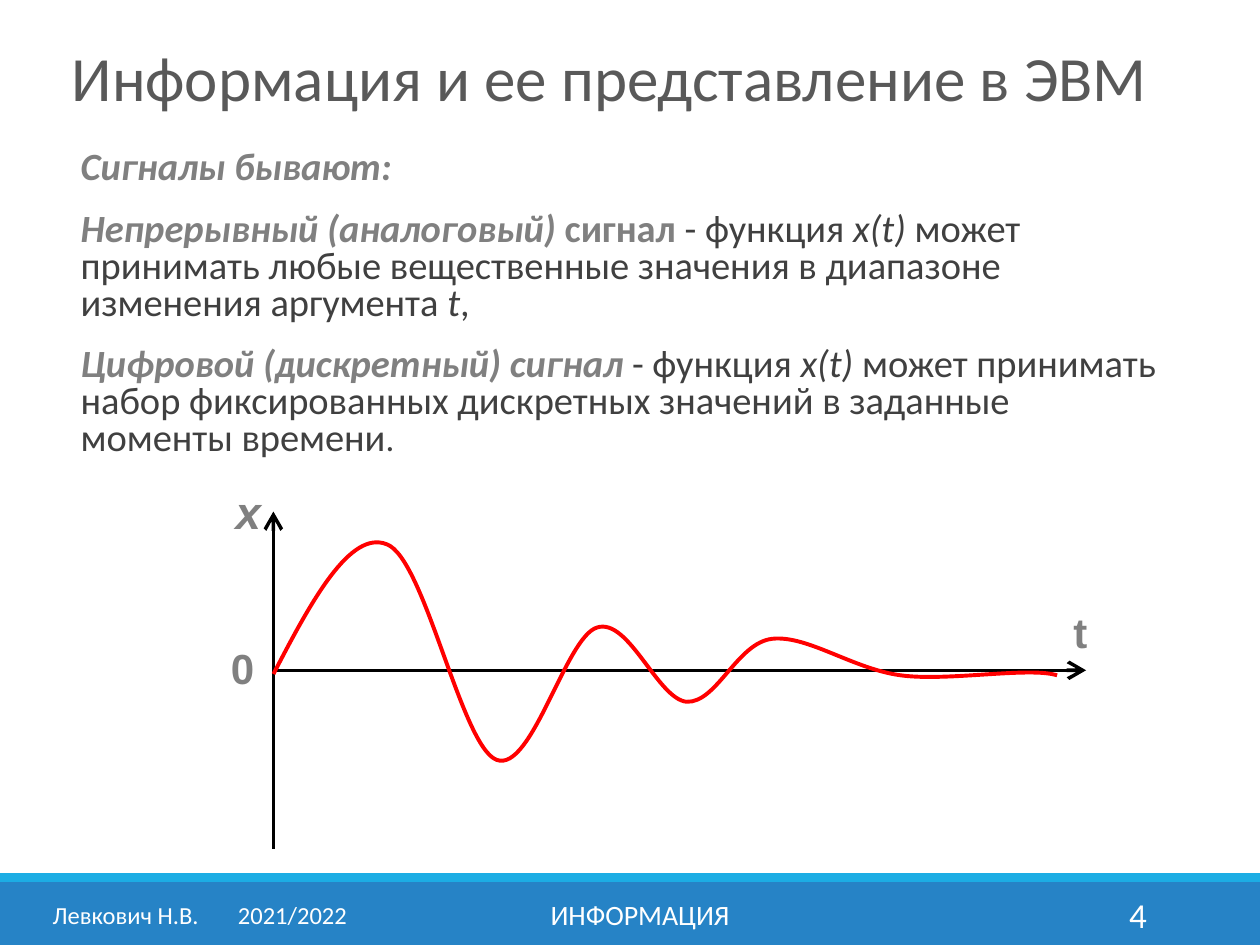
"""Build a slide on continuous and digital signals with a damped signal plot."""
import pptx
import pptx.dml.color
import pptx.enum.shapes
import pptx.enum.text
import pptx.oxml
import pptx.oxml.ns
import pptx.util

ALIGN = pptx.enum.text.PP_ALIGN
ANCHOR = pptx.enum.text.MSO_ANCHOR
WIDTH, HEIGHT = 10, 7.5

THEME = {
    "text_font": "Calibri", "plot_font": "Arial",
    "title": "595959", "body": "404040", "accent": "808080", "footer": "FFFFFF",
    "band": "2683C6", "stripe": "1CADE4", "axis": "000000", "signal": "FF0000",
    "title_size": 36, "body_size": 22, "stop_size": 20, "author_size": 14,
    "subject_size": 16, "number_size": 20, "label_size": 24, "x_size": 26,
    "axis_width": 2, "signal_width": 2.25,
}

TERM = {"color": THEME["accent"], "bold": True, "italic": True}
TERM_UPRIGHT = {"color": THEME["accent"], "bold": True}
PLAIN = {}
SYMBOL = {"italic": True}
STOP = {"size": THEME["stop_size"]}

TITLE = "Информация и ее представление в ЭВМ"
DEFINITIONS = [
    [("Сигналы бывают:", TERM)],
    [("Непрерывный (аналоговый) ", TERM), ("сигнал ", TERM_UPRIGHT),
     ("- функция ", PLAIN), ("x(t) ", SYMBOL),
     ("может принимать любые вещественные значения в диапазоне изменения аргумента ", PLAIN),
     ("t", SYMBOL), (",", PLAIN)],
    [("Цифровой (дискретный) сигнал ", TERM),
     ("- функция ", PLAIN), ("x(t) ", SYMBOL),
     ("может принимать набор фиксированных дискретных значений в заданные моменты времени", PLAIN),
     (".", STOP)],
]
FOOTER = [
    ("Левкович Н.В.\t2021/2022", 0.32, 2.61, THEME["author_size"], ALIGN.LEFT, 1.47),
    ("ИНФОРМАЦИЯ", 3.02, 4.12, THEME["subject_size"], ALIGN.CENTER, None),
    ("4", 8.12, 1.08, THEME["number_size"], ALIGN.RIGHT, None),
]
BANDS = [(7, 0.5, THEME["band"]), (6.93, 0.07, THEME["stripe"])]

ORIGIN = (2.17, 5.32)
AXES = [
    (ORIGIN, (8.62, ORIGIN[1]), "tailEnd"),
    ((ORIGIN[0], 4.06), (ORIGIN[0], 6.74), "headEnd"),
]
AXIS_LABELS = [
    ("0", (1.69, 5.09, 0.47, 0.39), THEME["label_size"], False, ALIGN.CENTER, (0.01, 0.01)),
    ("t", (8.31, 4.77, 1, 0.46), THEME["label_size"], False, ALIGN.LEFT, (0.21, 0.04)),
    ("x", (1.69, 3.83, 0.47, 0.4), THEME["x_size"], True, ALIGN.LEFT, (0.18, 0.01)),
]
SIGNAL_START = (2.17, 5.35)
SIGNAL_CURVES = [
    ((2.47, 4.77), (2.78, 4.2), (3.07, 4.32)),
    ((3.37, 4.43), (3.66, 5.92), (3.94, 6.03)),
    ((4.22, 6.14), (4.49, 5.05), (4.74, 4.98)),
    ((4.99, 4.9), (5.22, 5.55), (5.45, 5.57)),
    ((5.69, 5.58), (5.85, 5.1), (6.13, 5.07)),
    ((6.41, 5.04), (6.77, 5.31), (7.15, 5.36)),
    ((7.52, 5.41), (8.17, 5.29), (8.39, 5.36)),
]


def rgb(color):
    return pptx.dml.color.RGBColor.from_string(color)


def inches(values):
    return [pptx.util.Inches(value) for value in values]


def child(parent, tag, **attributes):
    element = pptx.oxml.parse_xml(f"<a:{tag} {pptx.oxml.ns.nsdecls('a')}/>")
    for key, value in attributes.items():
        element.set(key, str(value))
    parent.append(element)
    return element


def add_text(slide, box, paragraphs, *, size, color, font=THEME["text_font"],
             bold=False, italic=False, align=ALIGN.LEFT, anchor=ANCHOR.TOP,
             insets=(0.1, 0.05, 0.1, 0.05), spacing=None, before=0, after=0, tab=None):
    if isinstance(paragraphs, str):
        paragraphs = [[(paragraphs, PLAIN)]]
    frame = slide.shapes.add_textbox(*inches(box)).text_frame
    frame.word_wrap = True
    frame.vertical_anchor = anchor
    (frame.margin_left, frame.margin_top,
     frame.margin_right, frame.margin_bottom) = inches(insets)
    for index, runs in enumerate(paragraphs):
        paragraph = frame.add_paragraph() if index else frame.paragraphs[0]
        paragraph.alignment = align
        paragraph.line_spacing = spacing
        paragraph.space_before = pptx.util.Pt(before)
        paragraph.space_after = pptx.util.Pt(after)
        if tab:
            stops = child(paragraph._p.get_or_add_pPr(), "tabLst")
            child(stops, "tab", pos=pptx.util.Inches(tab), algn="l")
        for words, style in runs:
            run = paragraph.add_run()
            run.text = words
            run.font.name = font
            run.font.size = pptx.util.Pt(style.get("size", size))
            run.font.bold = style.get("bold", bold)
            run.font.italic = style.get("italic", italic)
            run.font.color.rgb = rgb(style.get("color", color))


def add_band(slide, top, height, color):
    band = slide.shapes.add_shape(pptx.enum.shapes.MSO_SHAPE.RECTANGLE,
                                  *inches((0, top, WIDTH, height)))
    band.shadow.inherit = False
    band.fill.solid()
    band.fill.fore_color.rgb = rgb(color)
    band.line.fill.background()


def add_axis(slide, start, end, arrow_end):
    axis = slide.shapes.add_connector(pptx.enum.shapes.MSO_CONNECTOR.STRAIGHT,
                                      *inches(start + end))
    axis.line.color.rgb = rgb(THEME["axis"])
    axis.line.width = pptx.util.Pt(THEME["axis_width"])
    child(axis.line._get_or_add_ln(), arrow_end, type="arrow", w="lg", len="lg")
    child(axis._element.spPr, "effectLst")


def add_signal(slide):
    builder = slide.shapes.build_freeform(*inches(SIGNAL_START))
    builder.add_line_segments([inches(curve[-1]) for curve in SIGNAL_CURVES], close=False)
    signal = builder.convert_to_shape()
    segments = signal._element.findall(".//" + pptx.oxml.ns.qn("a:lnTo"))
    for segment, curve in zip(segments, SIGNAL_CURVES):
        outline = segment.getparent()
        outline.remove(segment)
        bend = child(outline, "cubicBezTo")
        for point in curve:
            x, y = inches(point)
            child(bend, "pt", x=x - signal.left, y=y - signal.top)
    signal.shadow.inherit = False
    signal.fill.background()
    signal.line.color.rgb = rgb(THEME["signal"])
    signal.line.width = pptx.util.Pt(THEME["signal_width"])


def main():
    deck = pptx.Presentation()
    deck.slide_width, deck.slide_height = inches((WIDTH, HEIGHT))
    slide = deck.slides.add_slide(deck.slide_layouts[6])
    for band in BANDS:
        add_band(slide, *band)
    add_text(slide, (0.47, 0.25, 9.29, 0.8), TITLE, size=THEME["title_size"],
             color=THEME["title"], anchor=ANCHOR.MIDDLE, spacing=0.85)
    add_text(slide, (0.55, 1.15, 8.66, 2.71), DEFINITIONS, size=THEME["body_size"],
             color=THEME["body"], insets=(0.09, 0.05, 0, 0.05),
             spacing=0.8, before=12, after=2)
    for words, left, width, size, align, tab in FOOTER:
        add_text(slide, (left, 7.06, width, 0.4), words, size=size,
                 color=THEME["footer"], align=align, anchor=ANCHOR.MIDDLE, tab=tab)
    for axis in AXES:
        add_axis(slide, *axis)
    for words, box, size, italic, align, offset in AXIS_LABELS:
        add_text(slide, box, words, size=size, color=THEME["accent"],
                 font=THEME["plot_font"], bold=True, italic=italic, align=align,
                 insets=offset + (0.01, 0.01))
    add_signal(slide)
    deck.save("out.pptx")


if __name__ == "__main__":
    main()
